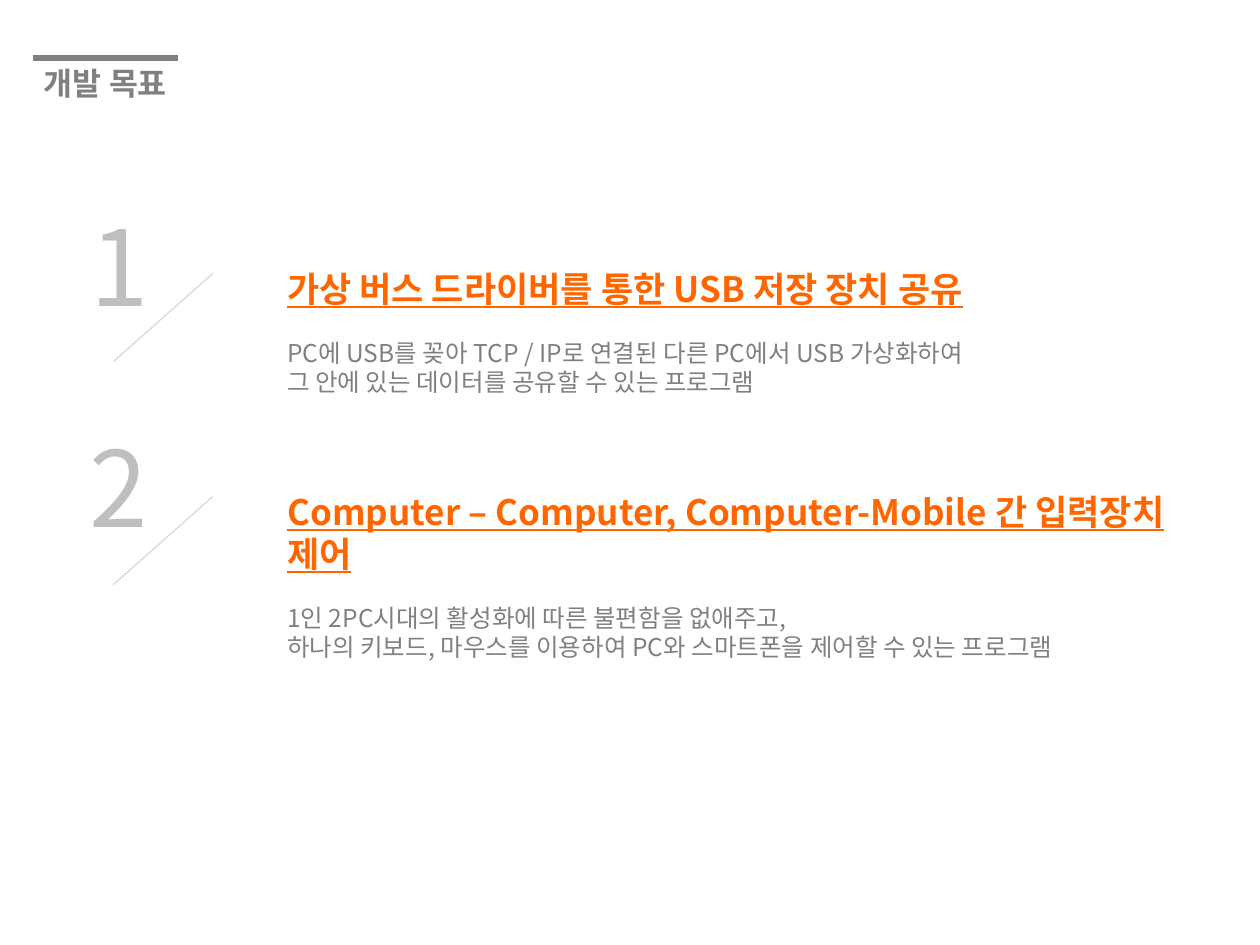
from pptx import Presentation
from pptx.dml.color import RGBColor
from pptx.enum.shapes import MSO_CONNECTOR
from pptx.oxml.ns import qn
from pptx.util import Inches, Pt

STRAIGHT = MSO_CONNECTOR.STRAIGHT
FONT = "Noto Sans CJK KR"
GRAY, NUMBER_GRAY, SLASH_GRAY, ORANGE = "808080", "BFBFBF", "D9D9D9", "FF6600"

prs = Presentation()
prs.slide_width, prs.slide_height = Inches(10), Inches(7.5)
slide = prs.slides.add_slide(prs.slide_layouts[6])


def add_line(x1, y1, x2, y2, color, width):
    line = slide.shapes.add_connector(
        STRAIGHT, Inches(x1), Inches(y1), Inches(x2), Inches(y2))
    line.line.color.rgb = RGBColor.from_string(color)
    line.line.width = Pt(width)
    line._element.spPr.append(line._element.makeelement(qn("a:effectLst"), {}))


def add_text(left, top, width, height, lines, wrap=False):
    """Add a text box; each line is (text, size, color, bold, underline, space before)."""
    frame = slide.shapes.add_textbox(
        Inches(left), Inches(top), Inches(width), Inches(height)).text_frame
    frame.word_wrap = wrap
    for i, (text, size, color, bold, underline, before) in enumerate(lines):
        paragraph = frame.add_paragraph() if i else frame.paragraphs[0]
        paragraph.text = text
        paragraph.space_before = Pt(before)
        font = paragraph.font
        font.name, font.size = FONT, Pt(size)
        font.bold, font.underline = bold, underline
        font.color.rgb = RGBColor.from_string(color)


add_line(0.26, 0.46, 1.41, 0.46, GRAY, 3)
add_text(0.25, 0.46, 1.22, 0.4, [("개발 목표", 18, GRAY, True, False, 0)])

# number, number left, number top, goal top, goal width, heading, description
goals = [
    ("1", 0.62, 1.55, 2.07, 5.65,
     "가상 버스 드라이버를 통한 USB 저장 장치 공유",
     ["PC에 USB를 꽂아 TCP / IP로 연결된 다른 PC에서 USB 가상화하여",
      "그 안에 있는 데이터를 공유할 수 있는 프로그램"]),
    ("2", 0.61, 3.3, 3.84, 7.55,
     "Computer – Computer, Computer-Mobile 간 입력장치 제어",
     ["1인 2PC시대의 활성화에 따른 불편함을 없애주고,",
      "하나의 키보드, 마우스를 이용하여 PC와 스마트폰을 제어할 수 있는 프로그램"]),
]
for number, number_left, number_top, top, width, heading, description in goals:
    lines = [(heading, 20, ORANGE, True, True, 0)]
    for i, text in enumerate(description):
        lines.append((text, 14, GRAY, False, False, 0 if i else 16.5))
    add_text(2.18, top, width, 1.14, lines, wrap=True)
    add_text(number_left, number_top, 0.71, 1.11,
             [(number, 60, NUMBER_GRAY, False, False, 0)])
    add_line(0.9, top + 0.8, 1.69, top + 0.1, SLASH_GRAY, 0.75)

prs.save("out.pptx")
